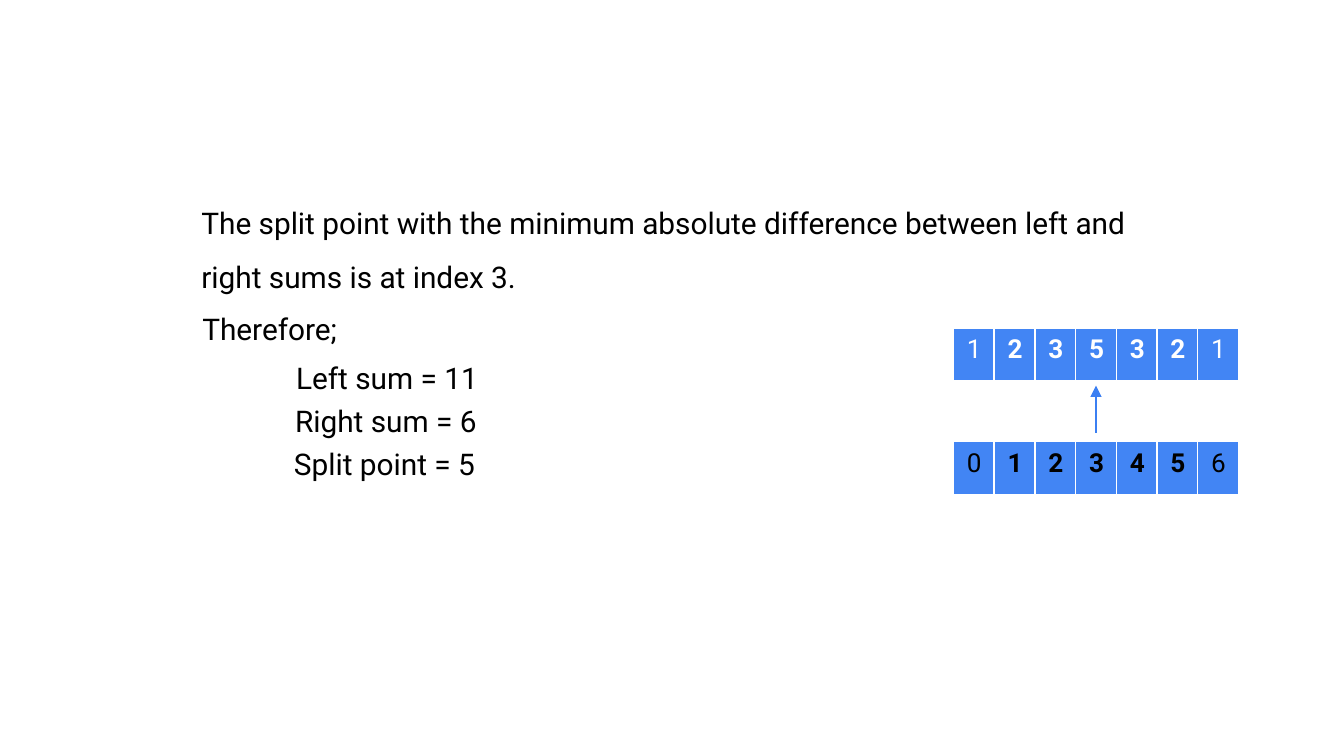
import pptx
import pptx.util
import pptx.dml.color
import pptx.enum.shapes
import pptx.enum.text
import pptx.oxml
import pptx.oxml.ns
import lxml.etree

RGB = pptx.dml.color.RGBColor
BLACK = RGB(0x00, 0x00, 0x00)
WHITE = RGB(0xFF, 0xFF, 0xFF)
BLUE = RGB(0x42, 0x85, 0xF4)
ARROW_BLUE = RGB(0x3B, 0x7F, 0xF2)

FONT = "Roboto"
# Widescreen, 16 to 9
WIDTH = pptx.util.Inches(10)
HEIGHT = WIDTH * 9 // 16

# Table geometry, in percent of the slide
TABLE_LEFT, TABLE_WIDTH, TABLE_HEIGHT = 70.95, 21.2, 7.29
BORDERS = {"lnL": 1, "lnR": 1, "lnT": 1, "lnB": 3}


def x(percent):
    return int(WIDTH * percent / 100)


def y(percent):
    return int(HEIGHT * percent / 100)


def write(tf, text, size=16, color=BLACK, bold=False, spacing=1.0):
    p = tf.paragraphs[0]
    p.line_spacing = spacing
    r = p.add_run()
    r.text = text
    r.font.name = FONT
    r.font.size = pptx.util.Pt(size)
    r.font.bold = bold
    r.font.color.rgb = color


def add_text(s, text, left, top, width, height, inset=0.1, **style):
    box = s.shapes.add_textbox(x(left), y(top), x(width), y(height))
    tf = box.text_frame
    tf.word_wrap = True
    tf.auto_size = pptx.enum.text.MSO_AUTO_SIZE.SHAPE_TO_FIT_TEXT
    tf.margin_left = pptx.util.Inches(inset)
    write(tf, text, **style)


def add_borders(cell):
    tc_pr = cell._tc.get_or_add_tcPr()
    for i, (side, points) in enumerate(BORDERS.items()):
        ln = pptx.oxml.parse_xml(
            f'<a:{side} {pptx.oxml.ns.nsdecls("a")} w="{pptx.util.Pt(points)}">'
            f'<a:solidFill><a:srgbClr val="{WHITE}"/></a:solidFill></a:{side}>')
        tc_pr.insert(i, ln)


def add_number_row(s, numbers, top, color):
    frame = s.shapes.add_table(1, len(numbers), x(TABLE_LEFT), y(top),
                               x(TABLE_WIDTH), y(TABLE_HEIGHT))
    table = frame.table
    table.first_row = table.horz_banding = False
    for i, number in enumerate(numbers):
        cell = table.cell(0, i)
        cell.fill.solid()
        cell.fill.fore_color.rgb = BLUE
        add_borders(cell)
        # The two end cells are in regular weight
        write(cell.text_frame, str(number), size=14, color=color,
              bold=0 < i < len(numbers) - 1)


def add_arrow(s, column, start, end):
    line = s.shapes.add_connector(pptx.enum.shapes.MSO_CONNECTOR.STRAIGHT,
                                  x(column), y(start), x(column), y(end))
    line.line.color.rgb = ARROW_BLUE
    line.line.width = pptx.util.Pt(0.75)
    qn = pptx.oxml.ns.qn
    ln = line.line._get_or_add_ln()
    lxml.etree.SubElement(ln, qn("a:tailEnd"), type="triangle")
    lxml.etree.SubElement(line._element.spPr, qn("a:effectLst"))


def main():
    prs = pptx.Presentation()
    prs.slide_width, prs.slide_height = WIDTH, HEIGHT
    s = prs.slides.add_slide(prs.slide_layouts[6])

    # Conclusion
    add_text(s, "The split point with the minimum absolute difference between "
                "left and right sums is at index 3.",
             14, 23.85, 75.5, 16.18, spacing=1.5)
    add_text(s, "Therefore;", 12.85, 40.18, 51.5, 6.58, inset=0.22)

    # Results, each line a little further left
    results = ["Left sum = 11", "Right sum = 6", "Split point = 5"]
    for i, text in enumerate(results):
        add_text(s, text, 19.83 - 0.08 * i, 46.76 + 5.69 * i, 51.5, 6.58,
                 inset=0.22)

    # Values, their indexes and the split marker
    add_number_row(s, [1, 2, 3, 5, 3, 2, 1], 43.35, WHITE)
    add_number_row(s, range(7), 58.36, BLACK)
    add_arrow(s, TABLE_LEFT + TABLE_WIDTH / 2, 57.24, 51.02)

    prs.save("out.pptx")


if __name__ == "__main__":
    main()
